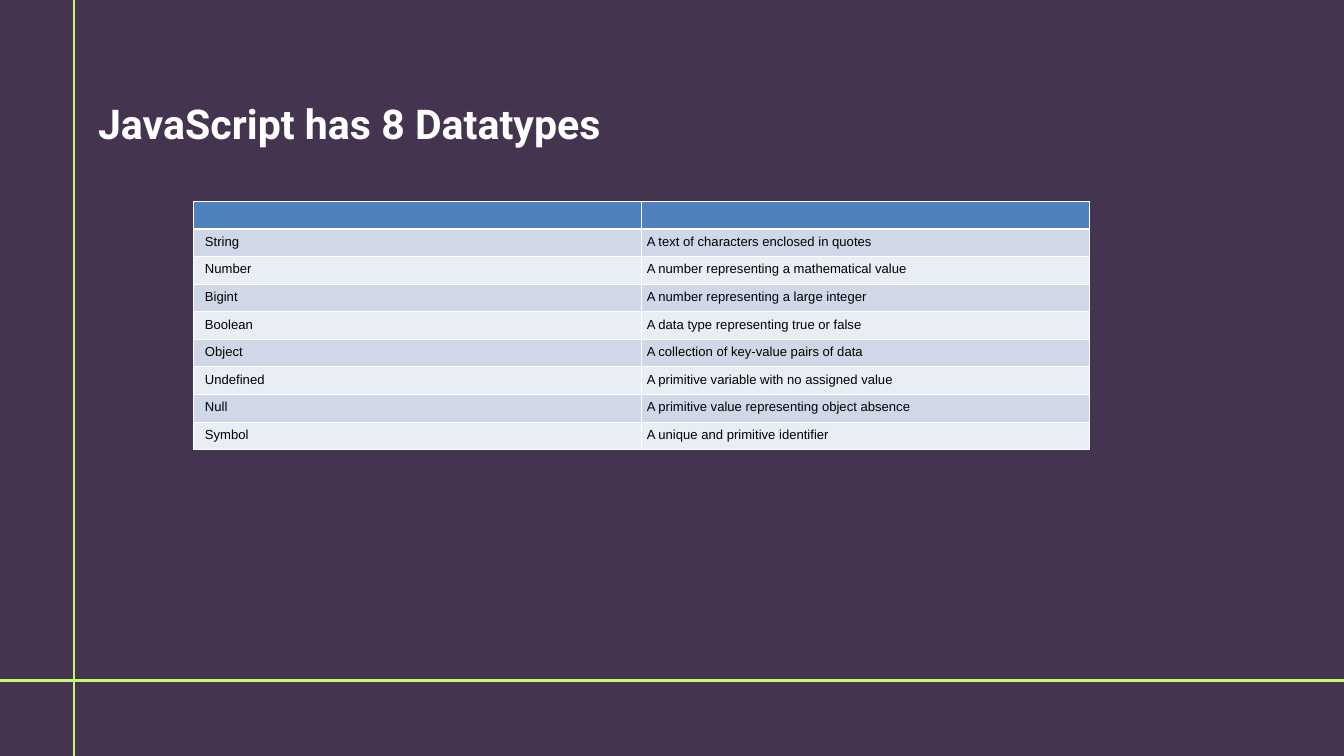
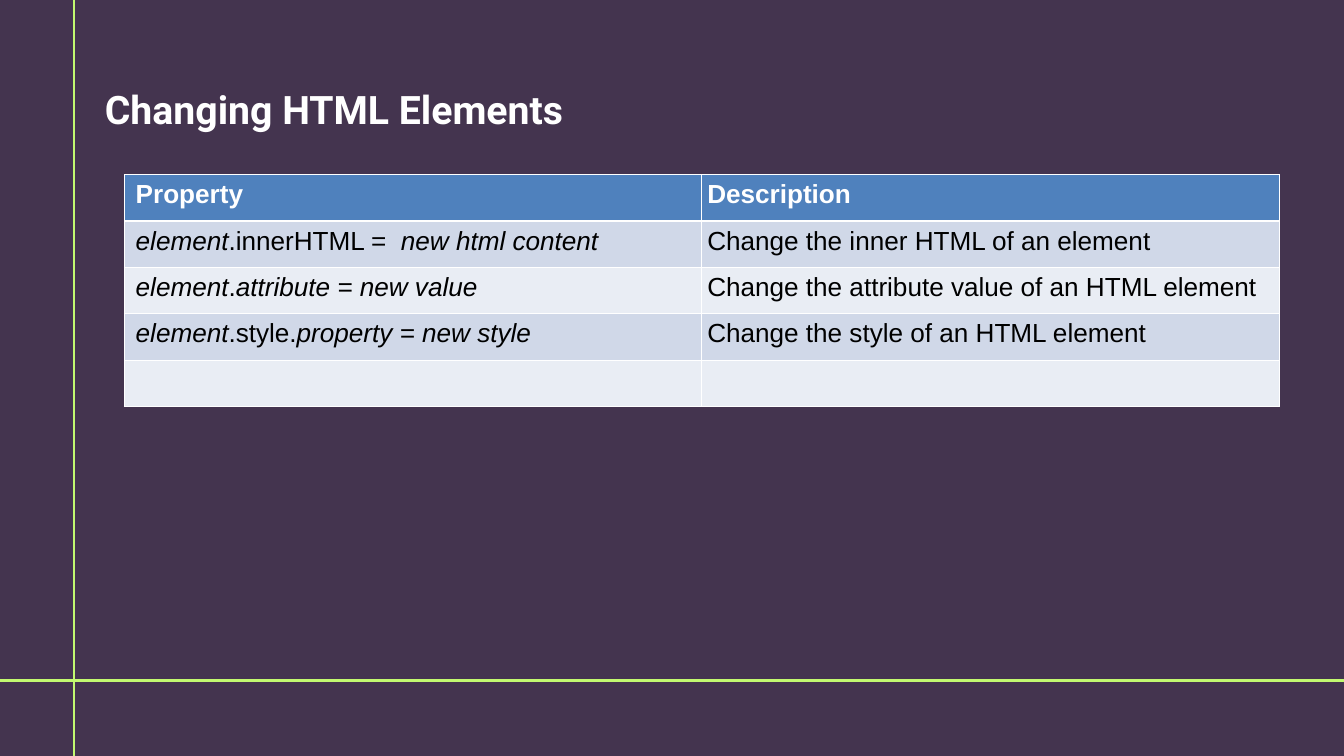
from dataclasses import dataclass

import lxml.etree
import pptx
import pptx.dml.color
import pptx.enum.shapes
import pptx.oxml.ns
import pptx.util

Inches = pptx.util.Inches
Pt = pptx.util.Pt

COLORS = {
    "background": "44344F",
    "rule": "C2F970",
    "title": "FFFFFF",
    "header": "4F81BD",
    "header_text": "FFFFFF",
    "odd_row": "D0D8E8",
    "even_row": "E9EDF4",
    "body_text": "000000",
    "border": "FFFFFF",
}
SLIDE_WIDTH, SLIDE_HEIGHT = 20, 11.25
BORDER_WIDTH, HEADER_BORDER_WIDTH = 1, 3
CELL_MARGIN, FIRST_COLUMN_MARGIN = 0.08, 0.17


@dataclass(frozen=True)
class Rule:
    start: tuple[float, float]
    end: tuple[float, float]


@dataclass(frozen=True)
class Title:
    text: str
    box: tuple[float, float, float, float]
    size: int


@dataclass(frozen=True)
class Grid:
    left: float
    top: float
    width: float
    row_height: float
    size: int
    rows: list[tuple[str, str]]


@dataclass(frozen=True)
class Topic:
    title: Title
    grid: Grid


RULES = [
    Rule((1.1, SLIDE_HEIGHT), (1.1, 0)),
    Rule((SLIDE_WIDTH, 10.13), (0, 10.13)),
]

TOPICS = [
    Topic(
        Title("JavaScript has 8 Datatypes", (1.46, 1.46, 15.43, 0.74), 44),
        Grid(2.88, 3, 13.33, 0.41, 14, [
            ("", ""),
            ("String", "A text of characters enclosed in quotes"),
            ("Number", "A number representing a mathematical value"),
            ("Bigint", "A number representing a large integer"),
            ("Boolean", "A data type representing true or false"),
            ("Object", "A collection of key-value pairs of data"),
            ("Undefined", "A primitive variable with no assigned value"),
            ("Null", "A primitive value representing object absence"),
            ("Symbol", "A unique and primitive identifier"),
        ]),
    ),
    Topic(
        Title("Changing HTML Elements", (1.56, 1.27, 17.48, 0.71), 42),
        Grid(1.85, 2.6, 17.19, 0.69, 28, [
            ("Property", "Description"),
            ("*element*.innerHTML =  *new html content*", "Change the inner HTML of an element"),
            ("*element*.*attribute = new value*", "Change the attribute value of an HTML element"),
            ("*element*.style.*property = new style*", "Change the style of an HTML element"),
            ("", ""),
        ]),
    ),
]


def rgb(name: str) -> pptx.dml.color.RGBColor:
    return pptx.dml.color.RGBColor.from_string(COLORS[name])


def apply_format(target, values: dict) -> None:
    for attribute, value in values.items():
        setattr(target, attribute, value)


def add_run(paragraph, text: str, color: str, font_values: dict) -> None:
    run = paragraph.add_run()
    run.text = text
    apply_format(run.font, font_values)
    run.font.color.rgb = rgb(color)


def draw_rule(slide, rule: Rule) -> None:
    points = [Inches(value) for value in rule.start + rule.end]
    line = slide.shapes.add_connector(pptx.enum.shapes.MSO_CONNECTOR.STRAIGHT, *points)
    line.line.color.rgb = rgb("rule")
    line.line.width = Pt(3)
    lxml.etree.SubElement(line._element.spPr, pptx.oxml.ns.qn("a:effectLst"))


def draw_title(slide, title: Title) -> None:
    frame = slide.shapes.add_textbox(*map(Inches, title.box)).text_frame
    margins = ("margin_left", "margin_top", "margin_right", "margin_bottom")
    apply_format(frame, {"word_wrap": True, **dict.fromkeys(margins, 0)})
    add_run(frame.paragraphs[0], title.text, "title",
            {"name": "Roboto", "size": Pt(title.size), "bold": True})


def set_borders(cell, widths: dict[str, int]) -> None:
    properties = cell._tc.get_or_add_tcPr()
    for index, (side, width) in enumerate(widths.items()):
        border = lxml.etree.Element(pptx.oxml.ns.qn(f"a:ln{side}"), w=str(Pt(width)))
        fill = lxml.etree.SubElement(border, pptx.oxml.ns.qn("a:solidFill"))
        lxml.etree.SubElement(fill, pptx.oxml.ns.qn("a:srgbClr"), val=COLORS["border"])
        properties.insert(index, border)


def fill_cell(cell, text: str, row: int, column: int, size: int) -> None:
    is_header = row == 0
    band = "header" if is_header else "odd_row" if row % 2 else "even_row"
    cell.fill.solid()
    cell.fill.fore_color.rgb = rgb(band)
    apply_format(cell, {
        "margin_left": Inches(CELL_MARGIN if column else FIRST_COLUMN_MARGIN),
        "margin_top": Inches(CELL_MARGIN),
        "margin_right": Inches(CELL_MARGIN),
        "margin_bottom": Inches(CELL_MARGIN),
    })
    set_borders(cell, {
        "L": BORDER_WIDTH,
        "R": BORDER_WIDTH,
        "T": HEADER_BORDER_WIDTH if row == 1 else BORDER_WIDTH,
        "B": HEADER_BORDER_WIDTH if is_header else BORDER_WIDTH,
    })
    paragraph = cell.text_frame.paragraphs[0]
    if not text:
        lxml.etree.SubElement(paragraph._p, pptx.oxml.ns.qn("a:endParaRPr"), sz=str(size * 100))
        return
    for index, part in enumerate(text.split("*")):
        if part:
            add_run(paragraph, part, "header_text" if is_header else "body_text", {
                "name": "Arial",
                "size": Pt(size),
                "bold": is_header,
                "italic": index % 2 == 1,
            })


def draw_grid(slide, grid: Grid) -> None:
    row_count, column_count = len(grid.rows), len(grid.rows[0])
    table = slide.shapes.add_table(
        row_count, column_count, Inches(grid.left), Inches(grid.top),
        Inches(grid.width), Inches(grid.row_height * row_count),
    ).table
    for row, texts in enumerate(grid.rows):
        table.rows[row].height = Inches(grid.row_height)
        for column, text in enumerate(texts):
            fill_cell(table.cell(row, column), text, row, column, grid.size)


def draw_topic(presentation, topic: Topic) -> None:
    slide = presentation.slides.add_slide(presentation.slide_layouts[6])
    slide.background.fill.solid()
    slide.background.fill.fore_color.rgb = rgb("background")
    for rule in RULES:
        draw_rule(slide, rule)
    draw_title(slide, topic.title)
    draw_grid(slide, topic.grid)


def main() -> None:
    presentation = pptx.Presentation()
    presentation.slide_width = Inches(SLIDE_WIDTH)
    presentation.slide_height = Inches(SLIDE_HEIGHT)
    for topic in TOPICS:
        draw_topic(presentation, topic)
    presentation.save("out.pptx")


if __name__ == "__main__":
    main()
